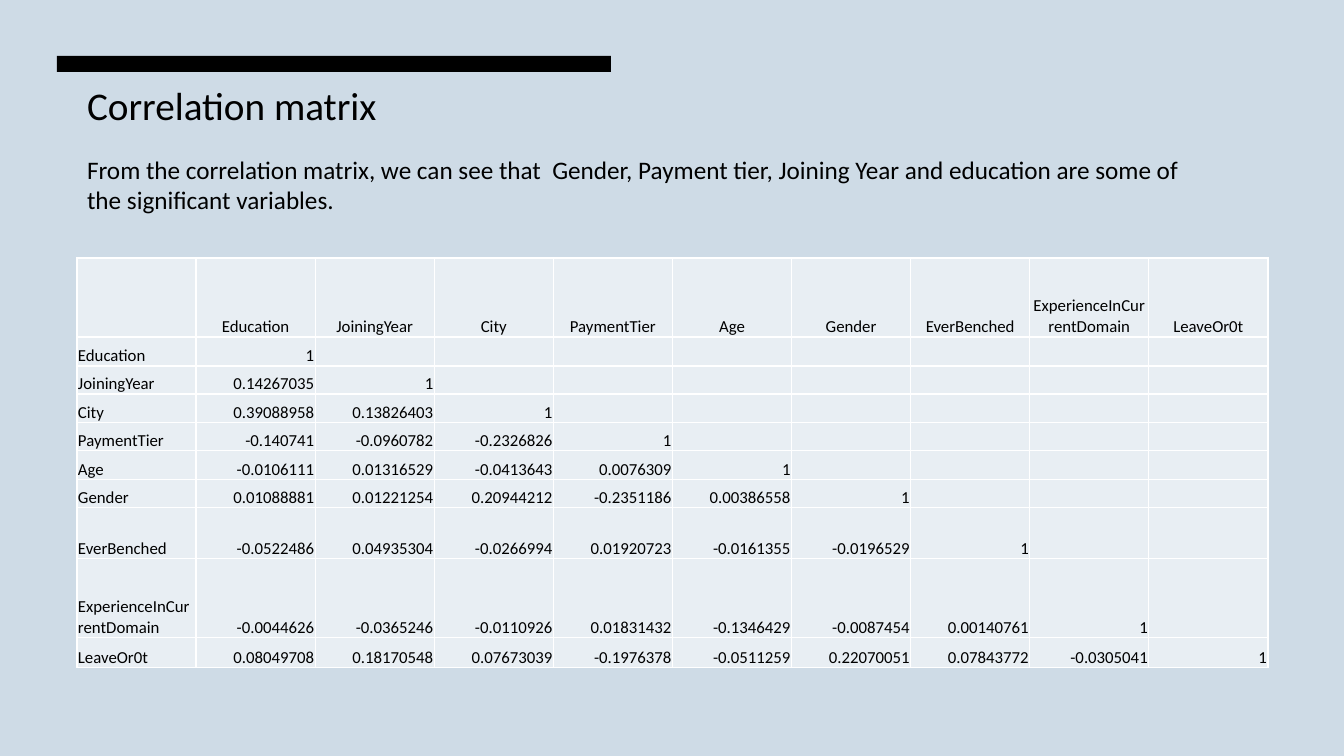
"""Build the correlation matrix slide."""
from dataclasses import dataclass

from lxml.etree import SubElement
from pptx import Presentation
from pptx.dml.color import RGBColor
from pptx.enum.shapes import MSO_SHAPE as Shape
from pptx.enum.text import MSO_ANCHOR as Anchor, MSO_AUTO_SIZE as AutoSize, PP_ALIGN as Align
from pptx.oxml.ns import qn
from pptx.util import Emu, Pt

EMU_PER_PX = 914400 / 100.8


@dataclass(frozen=True)
class Theme:
    background: str = "CEDBE6"
    ink: str = "000000"
    cell: str = "E8EEF3"
    border: str = "FFFFFF"
    font: str = "Calibri"
    title_size: int = 28
    body_size: int = 18
    table_size: int = 12
    border_width: int = 1


@dataclass(frozen=True)
class Box:
    left: int
    top: int
    width: int
    height: int


@dataclass(frozen=True)
class Variable:
    name: str
    row_height: int
    correlations: tuple[str, ...] = ()


THEME = Theme()
BAR = Box(57, 56, 554, 16)
TITLE = Box(77, 76, 509, 57)
BODY = Box(77, 149, 1133, 72)
MATRIX = Box(77, 258, 1191, 410)
HEADER_HEIGHT = 79
VARIABLES = (
    Variable("Education", 29),
    Variable("JoiningYear", 28, ("0.14267035",)),
    Variable("City", 29, ("0.39088958", "0.13826403")),
    Variable("PaymentTier", 28, ("-0.140741", "-0.0960782", "-0.2326826")),
    Variable("Age", 29, ("-0.0106111", "0.01316529", "-0.0413643", "0.0076309")),
    Variable("Gender", 28, ("0.01088881", "0.01221254", "0.20944212", "-0.2351186", "0.00386558")),
    Variable("EverBenched", 51, ("-0.0522486", "0.04935304", "-0.0266994", "0.01920723",
                                 "-0.0161355", "-0.0196529")),
    Variable("ExperienceInCurrentDomain", 79, ("-0.0044626", "-0.0365246", "-0.0110926", "0.01831432",
                                               "-0.1346429", "-0.0087454", "0.00140761")),
    Variable("LeaveOr0t", 30, ("0.08049708", "0.18170548", "0.07673039", "-0.1976378", "-0.0511259",
                               "0.22070051", "0.07843772", "-0.0305041")),
)


def px(length: int) -> Emu:
    return Emu(round(length * EMU_PER_PX))


def extent(box: Box) -> tuple[Emu, Emu, Emu, Emu]:
    return px(box.left), px(box.top), px(box.width), px(box.height)


def write_text(frame, text: str, *, size: int, align=Align.LEFT) -> None:
    paragraph = frame.paragraphs[0]
    paragraph.alignment = align
    paragraph.space_before = Pt(0)
    if not text:
        SubElement(paragraph._p, qn("a:endParaRPr"), sz=str(size * 100))
        return
    run = paragraph.add_run()
    run.text = text
    run.font.size = Pt(size)
    run.font.name = THEME.font
    run.font.color.rgb = RGBColor.from_string(THEME.ink)


def fill_placeholder(placeholder, box: Box, text: str, size: int) -> None:
    placeholder.left, placeholder.top, placeholder.width, placeholder.height = extent(box)
    frame = placeholder.text_frame
    frame.word_wrap = True
    frame.auto_size = AutoSize.NONE
    frame.vertical_anchor = Anchor.TOP
    write_text(frame, text, size=size)


def remove_bullet(paragraph) -> None:
    properties = paragraph._p.get_or_add_pPr()
    properties.set("marL", "0")
    properties.set("indent", "0")
    SubElement(properties, qn("a:buNone"))


def add_bar(slide) -> None:
    bar = slide.shapes.add_shape(Shape.RECTANGLE, *extent(BAR))
    bar.shadow.inherit = False
    bar.fill.solid()
    bar.fill.fore_color.rgb = RGBColor.from_string(THEME.ink)
    bar.line.fill.background()


def format_cell(cell) -> None:
    cell.vertical_anchor = Anchor.BOTTOM
    cell.margin_left = cell.margin_right = cell.margin_top = px(1)
    cell.margin_bottom = 0
    properties = cell._tc.get_or_add_tcPr()
    for side in ("a:lnL", "a:lnR", "a:lnT", "a:lnB"):
        line = SubElement(properties, qn(side), w=str(Pt(THEME.border_width)))
        SubElement(SubElement(line, qn("a:solidFill")), qn("a:srgbClr"), val=THEME.border)
    cell.fill.solid()
    cell.fill.fore_color.rgb = RGBColor.from_string(THEME.cell)


def matrix_rows() -> list[list[str]]:
    count = len(VARIABLES)
    rows = [["", *(variable.name for variable in VARIABLES)]]
    for index, variable in enumerate(VARIABLES):
        rows.append([variable.name, *variable.correlations, "1", *[""] * (count - index - 1)])
    return rows


def add_matrix(slide) -> None:
    rows = matrix_rows()
    table = slide.shapes.add_table(len(rows), len(rows[0]), *extent(MATRIX)).table
    table.first_row = False
    table.horz_banding = False
    heights = [HEADER_HEIGHT, *(variable.row_height for variable in VARIABLES)]
    for row_index, (values, height) in enumerate(zip(rows, heights)):
        table.rows[row_index].height = px(height)
        for column_index, value in enumerate(values):
            cell = table.cell(row_index, column_index)
            format_cell(cell)
            if row_index == 0:
                align = Align.CENTER
            else:
                align = Align.RIGHT if column_index else Align.LEFT
            write_text(cell.text_frame, value, size=THEME.table_size, align=align)


def main() -> None:
    presentation = Presentation()
    presentation.slide_width = px(1344)
    presentation.slide_height = px(756)
    slide = presentation.slides.add_slide(presentation.slide_layouts[1])
    slide.background.fill.solid()
    slide.background.fill.fore_color.rgb = RGBColor.from_string(THEME.background)
    add_bar(slide)
    add_matrix(slide)
    fill_placeholder(slide.shapes.title, TITLE, "Correlation matrix", THEME.title_size)
    body = slide.placeholders[1]
    fill_placeholder(
        body, BODY,
        "From the correlation matrix, we can see that  Gender, Payment tier, Joining Year "
        "and education are some of the significant variables.",
        THEME.body_size,
    )
    remove_bullet(body.text_frame.paragraphs[0])
    presentation.save("out.pptx")


if __name__ == "__main__":
    main()
